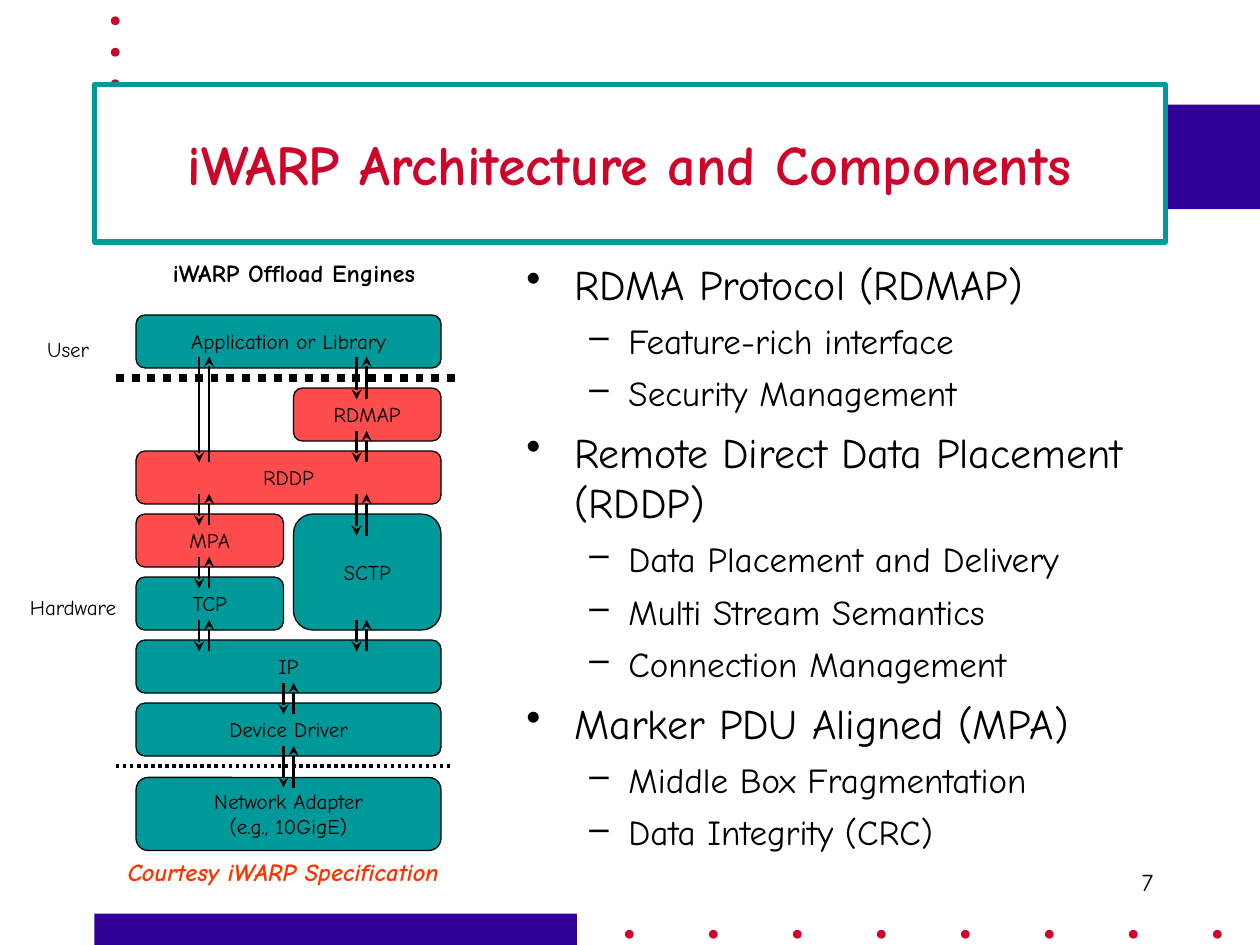
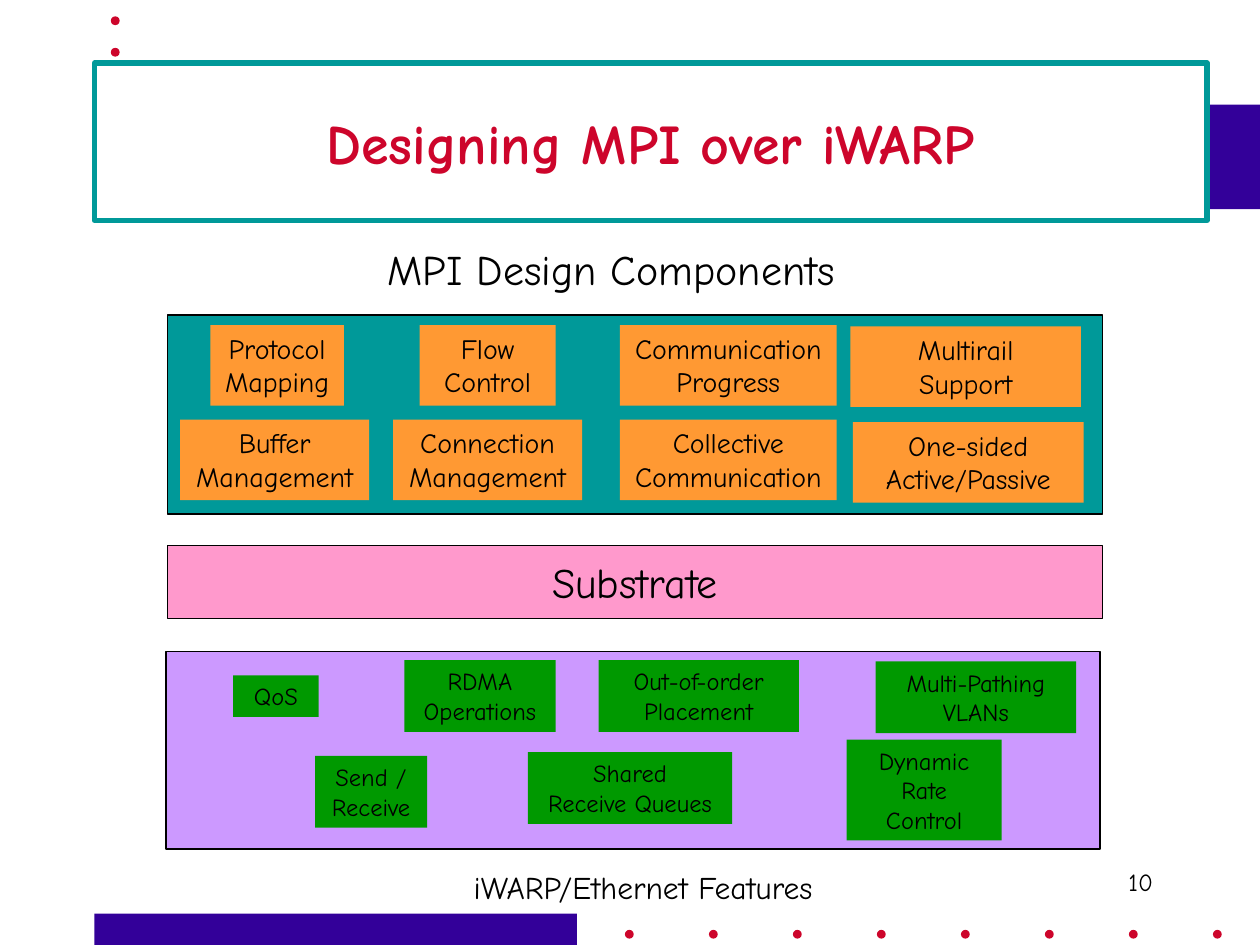
from lxml import etree
from pptx import Presentation
from pptx.dml.color import RGBColor
from pptx.enum.dml import MSO_LINE
from pptx.enum.shapes import MSO_CONNECTOR, MSO_SHAPE
from pptx.enum.text import MSO_ANCHOR, MSO_AUTO_SIZE, PP_ALIGN
from pptx.oxml.ns import qn
from pptx.util import Inches, Pt

FONT = "Comic Neue"
BLACK = RGBColor(0x00, 0x00, 0x00)
WHITE = RGBColor(0xFF, 0xFF, 0xFF)
NAVY = RGBColor(0x33, 0x00, 0x99)
CRIMSON = RGBColor(0xCD, 0x05, 0x2B)
TEAL = RGBColor(0x00, 0x99, 0x99)
RED = RGBColor(0xFF, 0x00, 0x00)
RUST = RGBColor(0xFF, 0x33, 0x00)
ORANGE = RGBColor(0xFF, 0x99, 0x33)
PINK = RGBColor(0xFF, 0x99, 0xCC)
LILAC = RGBColor(0xCC, 0x99, 0xFF)
GREEN = RGBColor(0x00, 0x99, 0x00)

RECT = MSO_SHAPE.RECTANGLE
ROUND = MSO_SHAPE.ROUNDED_RECTANGLE
OVAL = MSO_SHAPE.OVAL
STRAIGHT = MSO_CONNECTOR.STRAIGHT
DOTTED = MSO_LINE.ROUND_DOT
CENTER = PP_ALIGN.CENTER
RIGHT = PP_ALIGN.RIGHT
TOP = MSO_ANCHOR.TOP
MIDDLE = MSO_ANCHOR.MIDDLE
GROW = MSO_AUTO_SIZE.SHAPE_TO_FIT_TEXT


def box(slide, at, text="", size=12, fill=None, edge=None, weight=1, kind=RECT,
        color=BLACK, bold=False, align=CENTER, anchor=TOP, wrap=True, grow=False):
    place = [Inches(n) for n in at]
    if fill is None:
        shape = slide.shapes.add_textbox(*place)
    else:
        shape = slide.shapes.add_shape(kind, *place)
        shape.shadow.inherit = False
        shape.fill.solid()
        shape.fill.fore_color.rgb = fill
        if edge is None:
            shape.line.fill.background()
        else:
            shape.line.color.rgb = edge
            shape.line.width = Pt(weight)
    if text:
        frame = shape.text_frame
        frame.text = text
        frame.word_wrap = wrap
        frame.vertical_anchor = anchor
        if grow:
            frame.auto_size = GROW
        for para in frame.paragraphs:
            para.alignment = align
            para.font.name = FONT
            para.font.size = Pt(size)
            para.font.bold = bold
            para.font.color.rgb = color
    return shape


def wire(slide, start, end, weight, arrow=False):
    line = slide.shapes.add_connector(STRAIGHT, *[Inches(n) for n in start + end])
    line.line.color.rgb = BLACK
    line.line.width = Pt(weight)
    if arrow:
        ln = line.line._get_or_add_ln()
        etree.SubElement(ln, qn("a:tailEnd"), type="stealth")
    else:
        line.line.dash_style = DOTTED
    etree.SubElement(line._element.spPr, qn("a:effectLst"))


deck = Presentation()
deck.slide_width = Inches(10)
deck.slide_height = Inches(7.5)

pages = []
for title, number, top, width, dots in [
    ("iWARP Architecture and Components", "7", 0.67, 8.5, 3),
    ("Designing MPI over iWARP", "10", 0.5, 8.83, 2),
]:
    page = deck.slides.add_slide(deck.slide_layouts[6])
    box(page, (0.75, 7.25, 3.83, 0.25), fill=NAVY)
    box(page, (0.83, 0.83, 9.17, 0.83), fill=NAVY)
    for i in range(8):
        box(page, (4.96 + i * 2 / 3, 7.38, 0.07, 0.07), fill=CRIMSON, kind=OVAL)
    for i in range(dots):
        box(page, (0.88, 0.13 + i * 0.25, 0.07, 0.07), fill=CRIMSON, kind=OVAL)
    box(page, (7.17, 6.83, 2.08, 0.5), number, 14, align=RIGHT)
    box(page, (0.75, top, width, 1.25), title, 32, WHITE, TEAL, 3,
        color=CRIMSON, bold=True, anchor=MIDDLE)
    pages.append(page)
stack, design = pages

for text, left, top, width, height, fill in [
    ("Application or Library", 1.08, 2.5, 2.42, 0.42, TEAL),
    ("RDMAP", 2.33, 3.08, 1.17, 0.42, RED),
    ("RDDP", 1.08, 3.58, 2.42, 0.42, RED),
    ("MPA", 1.08, 4.08, 1.17, 0.42, RED),
    ("SCTP", 2.33, 4.08, 1.17, 0.92, TEAL),
    ("TCP", 1.08, 4.58, 1.17, 0.42, TEAL),
    ("IP", 1.08, 5.08, 2.42, 0.42, TEAL),
    ("Device Driver", 1.08, 5.58, 2.42, 0.42, TEAL),
    ("Network Adapter\n(e.g., 10GigE)", 1.08, 6.17, 2.42, 0.58, TEAL),
]:
    layer = box(stack, (left, top, width, height), text, 12, fill, BLACK, 0.75,
                ROUND, anchor=MIDDLE, wrap=False)
    if fill == RED:
        tint = layer._element.spPr.find(qn("a:solidFill"))[0]
        etree.SubElement(tint, qn("a:alpha"), val="70000")

wire(stack, (0.92, 3), (3.67, 3), 4.5)
wire(stack, (0.92, 6.08), (3.58, 6.08), 2)
for x, spans in [
    (1.58, [(2.83, 3.67), (3.92, 4.17), (4.42, 4.67), (4.92, 5.17)]),
    (2.83, [(2.83, 3.17), (3.42, 3.67), (3.92, 4.25), (4.92, 5.17)]),
    (2.25, [(5.42, 5.67), (5.92, 6.25)]),
]:
    for high, low in spans:
        wire(stack, (x, high), (x, low), 1.5, True)
        wire(stack, (x + 0.08, low), (x + 0.08, high), 1.5, True)

box(stack, (0.25, 2.62, 0.58, 0.3), "User", grow=True)
box(stack, (0.08, 4.67, 1, 0.3), "Hardware", grow=True)
box(stack, (1, 2, 2.67, 0.33), "iWARP Offload Engines", 14, bold=True, grow=True)
credit = box(stack, (0.5, 6.75, 3.5, 0.33), "Courtesy iWARP Specification", 14,
             color=RUST, bold=True, grow=True)
credit.text_frame.paragraphs[0].font.italic = True

points = [
    (0, "RDMA Protocol (RDMAP)"),
    (1, "Feature-rich interface"),
    (1, "Security Management"),
    (0, "Remote Direct Data Placement (RDDP)"),
    (1, "Data Placement and Delivery"),
    (1, "Multi Stream Semantics"),
    (1, "Connection Management"),
    (0, "Marker PDU Aligned (MPA)"),
    (1, "Middle Box Fragmentation"),
    (1, "Data Integrity (CRC)"),
]
styles = [(24, 0.38, 0.38, "•"), (20, 0.81, 0.31, "–")]
frame = box(stack, (4.08, 2, 5.67, 5.17)).text_frame
frame.word_wrap = True
for i, (level, text) in enumerate(points):
    size, margin, hang, mark = styles[level]
    para = frame.add_paragraph() if i else frame.paragraphs[0]
    para.text = text
    para.level = level
    if i:
        para.space_before = Pt(size * 0.3)
    props = para._p.get_or_add_pPr()
    props.set("marL", str(Inches(margin)))
    props.set("indent", str(-Inches(hang)))
    etree.SubElement(props, qn("a:buChar"), char=mark)
    para.font.name = FONT
    para.font.size = Pt(size)
    para.font.color.rgb = BLACK

box(design, (1.33, 2.5, 7.42, 1.58), fill=TEAL, edge=BLACK)
box(design, (1.33, 4.33, 7.42, 0.58), "Substrate", 24, PINK, BLACK,
    anchor=MIDDLE, wrap=False)
box(design, (1.32, 5.17, 7.41, 1.57), fill=LILAC, edge=BLACK)

for size, fill, parts in [
    (16, ORANGE, [
        ("Protocol\nMapping", 1.67, 2.58, 1.06, 0.64, False),
        ("Flow\nControl", 3.33, 2.58, 1.08, 0.64, True),
        ("Communication\nProgress", 4.92, 2.58, 1.72, 0.64, False),
        ("Multirail\nSupport", 6.75, 2.59, 1.83, 0.64, True),
        ("Buffer\nManagement", 1.43, 3.33, 1.5, 0.64, False),
        ("Connection\nManagement", 3.12, 3.33, 1.5, 0.64, False),
        ("Collective\nCommunication", 4.92, 3.33, 1.72, 0.64, False),
        ("One-sided\nActive/Passive", 6.77, 3.35, 1.83, 0.64, True),
    ]),
    (14, GREEN, [
        ("QoS", 1.85, 5.36, 0.68, 0.33, True),
        ("RDMA\nOperations", 3.21, 5.24, 1.2, 0.57, False),
        ("Out-of-order\nPlacement", 4.75, 5.24, 1.59, 0.57, True),
        ("Multi-Pathing\nVLANs", 6.95, 5.25, 1.59, 0.57, True),
        ("Send /\nReceive", 2.5, 6, 0.89, 0.57, False),
        ("Shared\nReceive Queues", 4.19, 5.97, 1.62, 0.57, False),
        ("Dynamic\nRate Control", 6.72, 5.87, 1.23, 0.8, True),
    ]),
    (24, None, [("MPI Design Components", 2.89, 1.88, 3.92, 0.5, False)]),
    (18, None, [("iWARP/Ethernet Features", 3.45, 6.84, 3.31, 0.4, False)]),
]:
    for text, left, top, width, height, wrap in parts:
        box(design, (left, top, width, height), text, size, fill, wrap=wrap, grow=True)

deck.save("out.pptx")
